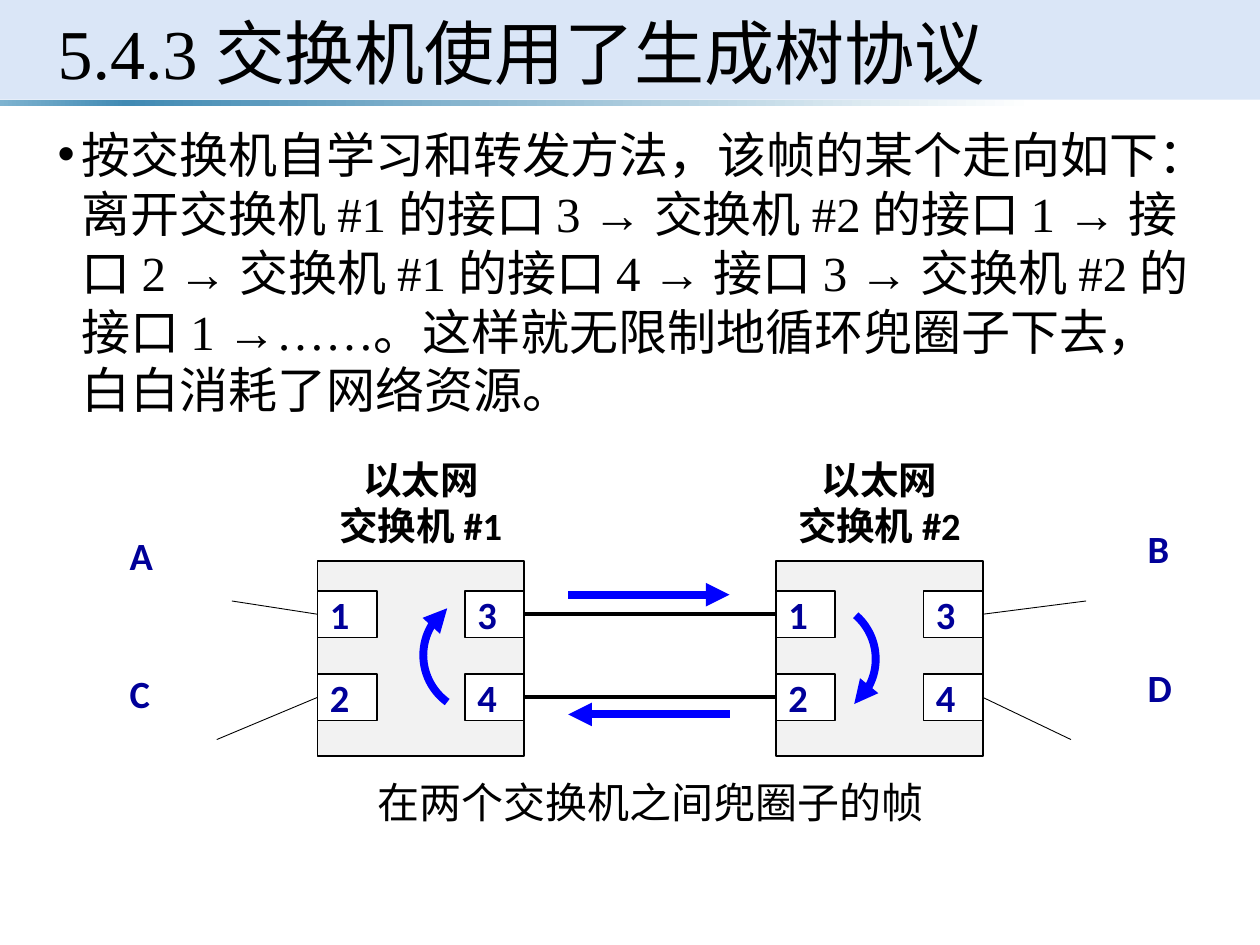
from copy import deepcopy

from lxml import etree
from pptx import Presentation
from pptx.dml.color import RGBColor
from pptx.enum.shapes import MSO_CONNECTOR, MSO_SHAPE
from pptx.enum.text import MSO_ANCHOR, PP_ALIGN
from pptx.oxml.ns import qn
from pptx.util import Inches, Pt

RECT, ARC = MSO_SHAPE.RECTANGLE, MSO_SHAPE.ARC
STRAIGHT = MSO_CONNECTOR.STRAIGHT
TOP, MIDDLE = MSO_ANCHOR.TOP, MSO_ANCHOR.MIDDLE
LEFT, CENTER = PP_ALIGN.LEFT, PP_ALIGN.CENTER
SIDE_LEFT, SIDE_RIGHT = 1, 3
COLORS = {
    "black": "000000", "white": "FFFFFF", "band": "DAE6F7",
    "switch": "F2F2F2", "label": "000099", "arrow": "0000FF",
    "strip_start": "7EB3D0", "strip_peak": "418AB3",
}
RGB = {name: RGBColor.from_string(value) for name, value in COLORS.items()}

prs = Presentation()
prs.slide_width, prs.slide_height = Inches(10), Inches(7.5)
COL, ROW = prs.slide_width / 100, prs.slide_height / 75  # grid of 100 x 75
s = prs.slides.add_slide(prs.slide_layouts[6])


def add_box(kind, x, y, w, h, fill=None, line=None, width=1):
    """Add a preset shape placed in grid columns and rows."""
    sp = s.shapes.add_shape(kind, int(x * COL), int(y * ROW), int(w * COL), int(h * ROW))
    sp.shadow.inherit = False
    if fill:
        sp.fill.solid()
        sp.fill.fore_color.rgb = RGB[fill]
    else:
        sp.fill.background()
    if line:
        sp.line.color.rgb = RGB[line]
        sp.line.width = Pt(width)
    else:
        sp.line.fill.background()
    return sp


def write(tf, lines, size, font, color="black", bold=False, align=LEFT, anchor=TOP, wrap=True):
    tf.word_wrap, tf.vertical_anchor = wrap, anchor
    for i, text in enumerate(lines):
        p = tf.add_paragraph() if i else tf.paragraphs[0]
        p.alignment = align
        r = p.add_run()
        r.text = text
        r.font.size, r.font.name, r.font.bold = Pt(size), font, bold
        r.font.color.rgb = RGB[color]


# Title band and the fading strip below it
add_box(RECT, 0, 0, 100, 7.9, "band")
strip = add_box(RECT, 0, 7.9, 100, 0.5)
strip.fill.gradient()
strip.fill.gradient_angle = 0
stop_list = strip.fill._fill._gradFill.find(qn("a:gsLst"))
for _ in range(2):
    stop_list.append(deepcopy(stop_list[0]))
stops = [(0, "strip_start"), (0.1, "strip_peak"), (0.82, "white"), (0.96, "white")]
for stop, (position, color) in zip(strip.fill.gradient_stops, stops):
    stop.position, stop.color.rgb = position, RGB[color]

# Text boxes: place, lines, style
title = dict(size=40, font="Times New Roman", anchor=MIDDLE)
body = dict(size=28, font="Times New Roman")
caption = dict(size=24, font="Arial", align=CENTER)
host = dict(size=22, font="Calibri", color="label", bold=True, wrap=False)
texts = [
    ((3.6, 0, 93, 8.1), ["5.4.3 交换机使用了生成树协议"], title),
    ((3.6, 9.4, 93, 25.3), [
        "按交换机自学习和转发方法，该帧的某个走向如下：离开交换机 #1 的接口 3 → "
        "交换机 #2 的接口 1 → 接口 2 → 交换机 #1 的接口 4 → 接口 3 → "
        "交换机 #2 的接口 1 →……。这样就无限制地循环兜圈子下去，白白消耗了网络资源。"], body),
    ((23.4, 61.1, 56.5, 5), ["在两个交换机之间兜圈子的帧"], caption),
    ((9.3, 41.7, 3.7, 4.6), ["A"], host),
    ((9.3, 52.7, 3.7, 4.6), ["C"], host),
    ((90.1, 41.2, 3.7, 4.6), ["B"], host),
    ((90.1, 52.2, 3.7, 4.6), ["D"], host),
]
for (x, y, w, h), lines, style in texts:
    tb = s.shapes.add_textbox(int(x * COL), int(y * ROW), int(w * COL), int(h * ROW))
    write(tb.text_frame, lines, **style)
    if style is body:
        pPr = tb.text_frame.paragraphs[0]._p.get_or_add_pPr()
        pPr.set("marL", str(Inches(0.19)))
        pPr.set("indent", str(-Inches(0.19)))
        etree.SubElement(pPr, qn("a:buFont")).set("typeface", "Arial")
        etree.SubElement(pPr, qn("a:buChar")).set("char", "•")

# Two switches, each with ports 1 and 2 on the left, 3 and 4 on the right
SWITCH_W, PORT_W, PORT_H = 16.4, 4.7, 3.7
ports = {}
for number, x in ((1, 25.2), (2, 61.6)):
    add_box(RECT, x, 44.5, SWITCH_W, 15.5, "switch", "black")
    tb = s.shapes.add_textbox(int((x + 0.7) * COL), int(35.7 * ROW), int(15 * COL), int(8.4 * ROW))
    write(tb.text_frame, ["以太网", "交换机 #%d" % number], 22, "Calibri", bold=True, align=CENTER)
    for i in range(4):
        column, row = divmod(i, 2)
        sp = add_box(RECT, x + column * (SWITCH_W - PORT_W), 46.9 + row * 6.6,
                     PORT_W, PORT_H, "white", "black")
        tf = sp.text_frame
        tf.margin_left, tf.margin_right = Inches(0.1), 0
        tf.margin_top = tf.margin_bottom = 0
        write(tf, [str(i + 1)], 22, "Calibri", "label", True, anchor=MIDDLE)
        ports[number, i + 1] = sp

# Straight lines: ends are grid points or (port, side)
links = [
    (((1, 3), SIDE_RIGHT), ((2, 1), SIDE_LEFT), "black", 2.25),
    (((1, 4), SIDE_RIGHT), ((2, 2), SIDE_LEFT), "black", 2.25),
    ((18.4, 47.7), ((1, 1), SIDE_LEFT), "black", 0.5),
    ((17.2, 58.7), ((1, 2), SIDE_LEFT), "black", 0.5),
    (((2, 3), SIDE_RIGHT), (86.2, 47.7), "black", 0.5),
    (((2, 4), SIDE_RIGHT), (85, 58.7), "black", 0.5),
    ((45.1, 47.2), (57.9, 47.2), "arrow", 4.5),
    ((57.9, 56.7), (45.1, 56.7), "arrow", 4.5),
]
arrows = []
for start, end, color, width in links:
    points = [(0, 0) if isinstance(e[0], tuple) else e for e in (start, end)]
    cn = s.shapes.add_connector(STRAIGHT, *(int(v * unit) for pt in points
                                            for v, unit in zip(pt, (COL, ROW))))
    for e, join in ((start, cn.begin_connect), (end, cn.end_connect)):
        if isinstance(e[0], tuple):
            join(ports[e[0]], e[1])
    cn.line.color.rgb, cn.line.width = RGB[color], Pt(width)
    etree.SubElement(cn._element.spPr, qn("a:effectLst"))
    if color == "arrow":
        arrows.append(cn)

# Curved arrows inside the switches: centre, start and end angle in degrees
RADIUS = 4.6
for cx, cy, start, end in ((38.2, 52, 126, 234), (64.9, 52.3, 311, 51)):
    arc = add_box(ARC, cx - RADIUS, cy - RADIUS, 2 * RADIUS, 2 * RADIUS, line="arrow", width=4.5)
    for i, angle in enumerate((start, end)):
        arc.adjustments[i] = angle * 0.6  # 60000 units a degree, scaled by 100000
    arrows.append(arc)

for sp in arrows:
    etree.SubElement(sp.line._get_or_add_ln(), qn("a:tailEnd")).set("type", "triangle")

prs.save("out.pptx")
